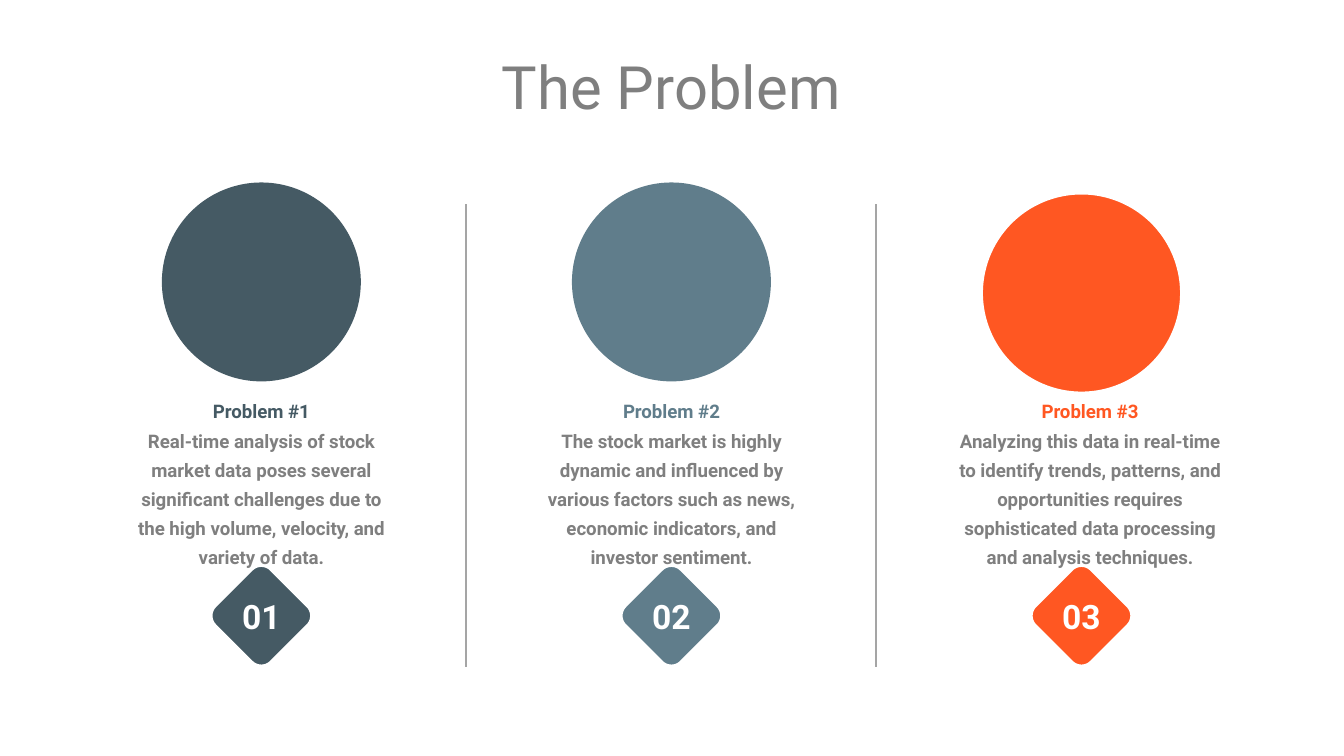
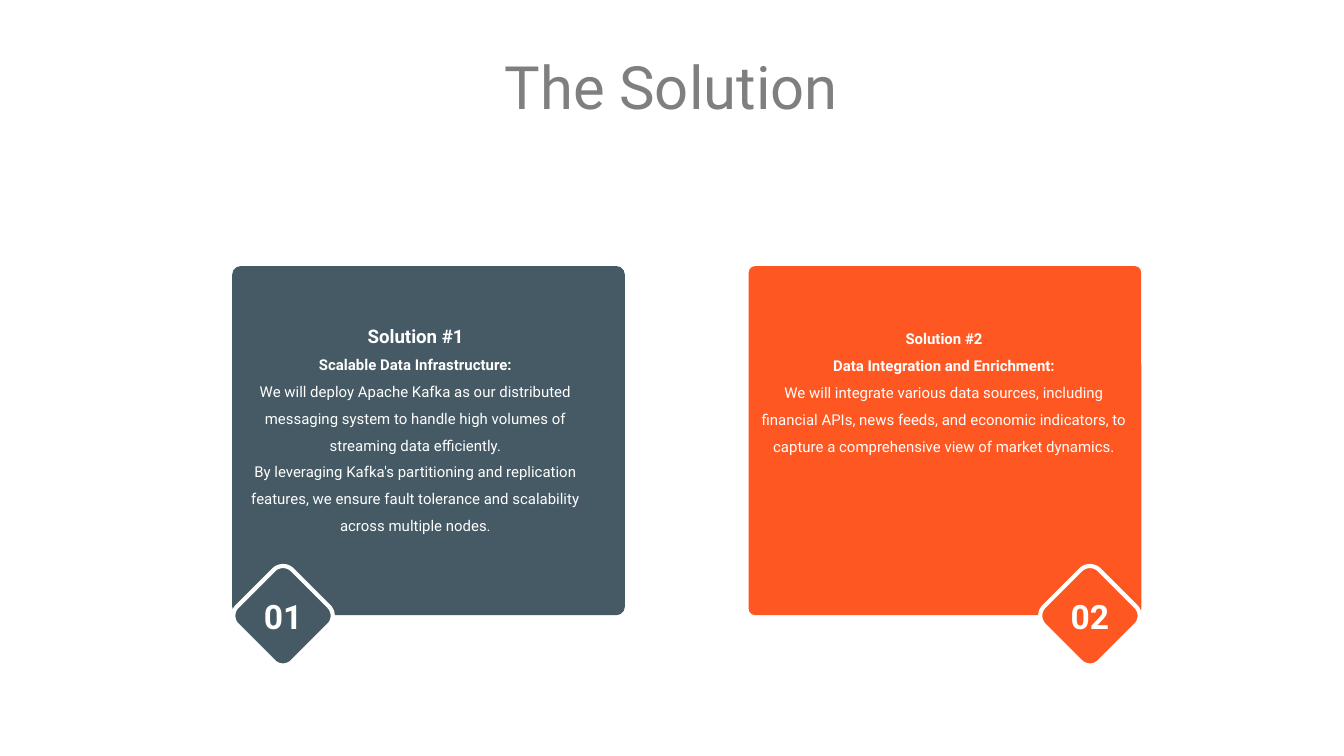
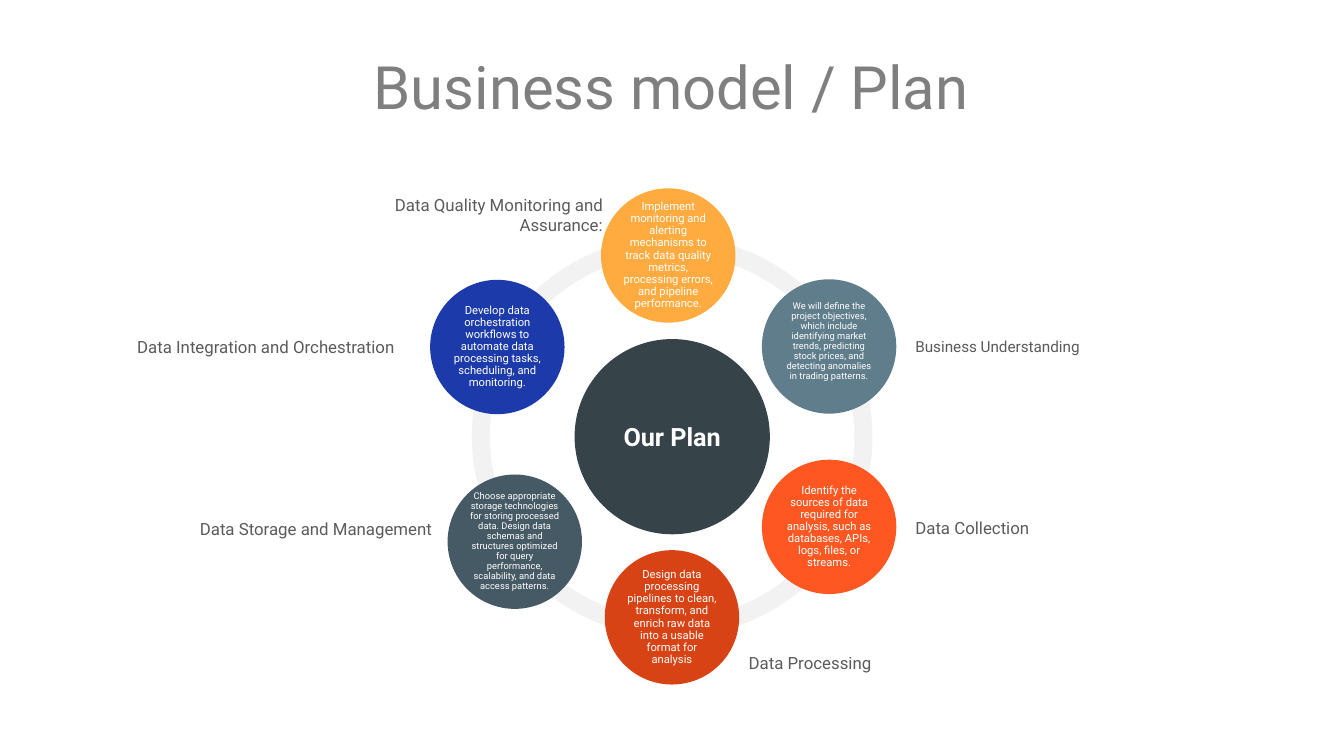
from math import cos, radians, sin

from lxml.etree import SubElement
from pptx import Presentation
from pptx.dml.color import RGBColor
from pptx.enum.shapes import MSO_CONNECTOR, MSO_SHAPE
from pptx.enum.text import MSO_ANCHOR, PP_ALIGN
from pptx.oxml.ns import qn
from pptx.util import Cm, Pt

COLORS = {
    "white": "FFFFFF",
    "title": "7F7F7F",
    "label": "5B5B5B",
    "divider": "A5A5A5",
    "ring": "F2F2F2",
    "hub": "364349",
    "slate": "455A64",
    "steel": "607D8B",
    "orange": "FF5722",
    "rust": "D84315",
    "blue": "1C3AA9",
    "amber": "FFAB40",
}


def rgb(color):
    return RGBColor.from_string(COLORS[color])


class Deck:
    font = "Roboto"
    badge_reach = 0.94
    badge_radius = 0.25
    badge_y = 11.64

    def __init__(self):
        self.presentation = Presentation()
        self.presentation.slide_width = Cm(25.4)
        self.presentation.slide_height = Cm(14.29)
        self.slide = None

    def new_slide(self, title):
        blank = self.presentation.slide_layouts[6]
        self.slide = self.presentation.slides.add_slide(blank)
        self.text(1.07, 0.94, 23.24, 1.37, [title], 32, "title",
                  anchor=MSO_ANCHOR.MIDDLE)

    def fill_text(self, frame, lines, size, color, bold=False,
                  align=PP_ALIGN.CENTER, anchor=MSO_ANCHOR.TOP, spacing=None,
                  inset=0, extra_bottom=0):
        frame.word_wrap = True
        frame.vertical_anchor = anchor
        frame.margin_left = frame.margin_right = frame.margin_top = Cm(inset)
        frame.margin_bottom = Cm(inset + extra_bottom)
        frame.text = lines[0]
        for line in lines[1:]:
            frame.add_paragraph().text = line
        for paragraph in frame.paragraphs:
            paragraph.alignment = align
            if spacing:
                paragraph.line_spacing = spacing
            for run in paragraph.runs:
                run.font.name = self.font
                run.font.size = Pt(size)
                run.font.bold = bold
                run.font.color.rgb = rgb(color)

    def text(self, left, top, width, height, lines, size, color, **style):
        box = self.slide.shapes.add_textbox(
            Cm(left), Cm(top), Cm(width), Cm(height))
        self.fill_text(box.text_frame, lines, size, color, **style)
        return box.text_frame.paragraphs

    def paint(self, shape, fill, outline=None):
        shape.shadow.inherit = False
        shape.fill.solid()
        shape.fill.fore_color.rgb = rgb(fill)
        if outline:
            shape.line.color.rgb = rgb("white")
            shape.line.width = Pt(outline)
        else:
            shape.line.fill.background()
        return shape

    def shape(self, kind, left, top, width, height, fill, outline=None,
              adjustments=()):
        shape = self.slide.shapes.add_shape(
            kind, Cm(left), Cm(top), Cm(width), Cm(height))
        for index, value in enumerate(adjustments):
            shape.adjustments[index] = value
        return self.paint(shape, fill, outline)

    def circle(self, left, top, diameter, fill, outline=None):
        return self.shape(MSO_SHAPE.OVAL, left, top, diameter, diameter,
                          fill, outline)

    def divider(self, x, top, bottom):
        line = self.slide.shapes.add_connector(
            MSO_CONNECTOR.STRAIGHT, Cm(x), Cm(top), Cm(x), Cm(bottom))
        line.line.color.rgb = rgb("divider")
        line.line.width = Pt(1)
        SubElement(line.element.spPr, qn("a:effectLst"))

    def badge(self, center_x, number, fill, outline):
        arm = self.badge_reach - self.badge_radius
        points = []
        for corner in range(0, 360, 90):
            for angle in range(corner - 45, corner + 46, 9):
                x = arm * cos(radians(corner)) + self.badge_radius * cos(radians(angle))
                y = arm * sin(radians(corner)) + self.badge_radius * sin(radians(angle))
                points.append((Cm(center_x + x), Cm(self.badge_y + y)))
        builder = self.slide.shapes.build_freeform(*points[0])
        builder.add_line_segments(points[1:], close=True)
        diamond = self.paint(builder.convert_to_shape(), fill, outline)
        self.fill_text(diamond.text_frame, [f"{number:02d}"], 18, "white",
                       bold=True, anchor=MSO_ANCHOR.MIDDLE, inset=0.2)


def add_problems(deck):
    deck.new_slide("The Problem")
    pitch, first_center, diameter = 7.75, 4.94, 3.76
    problems = [
        ("slate", 3.45, None, 0, 4.78,
         "Real-time analysis of stock market data poses several significant "
         "challenges due to the high volume, velocity, and variety of data."),
        ("steel", 3.45, None, 0, 4.78,
         "The stock market is highly dynamic and influenced by various factors "
         "such as news, economic indicators, and investor sentiment."),
        ("orange", 3.66, 1, 0.16, 5.13,
         "Analyzing this data in real-time to identify trends, patterns, and "
         "opportunities requires sophisticated data processing and analysis "
         "techniques."),
    ]
    for index in range(len(problems) - 1):
        deck.divider(8.81 + index * pitch, 3.86, 12.6)
    for index, (color, top, outline, shift, width, detail) in enumerate(problems):
        center = first_center + index * pitch
        deck.circle(center - diameter / 2, top, diameter, color, outline)
        paragraphs = deck.text(
            center + shift - width / 2, 7.44, width, 3,
            [f"Problem #{index + 1}\v{detail}"], 10, "title",
            bold=True, spacing=1.3)
        paragraphs[0].runs[0].font.color.rgb = rgb(color)
        deck.badge(center, index + 1, color, 1)


def add_solutions(deck):
    deck.new_slide("The Solution")
    solutions = [
        ("slate", 4.39, 0.024, 4.39, 5.92, 10, 5.35,
         ["Solution #1\vScalable Data Infrastructure:",
          "We will deploy Apache Kafka as our distributed messaging system to "
          "handle high volumes of streaming data efficiently.",
          "By leveraging Kafka's partitioning and replication features, we "
          "ensure fault tolerance and scalability across multiple nodes."]),
        ("orange", 14.15, 0.019, 14.38, 6.07, 8, 20.6,
         ["Solution #2\vData Integration and Enrichment:",
          "We will integrate various data sources, including financial APIs, "
          "news feeds, and economic indicators, to capture a comprehensive "
          "view of market dynamics."]),
    ]
    for number, solution in enumerate(solutions, 1):
        color, left, rounding, text_left, text_top, heading_size, badge_x, lines = solution
        deck.shape(MSO_SHAPE.ROUNDED_RECTANGLE, left, 5.03, 7.42, 6.6, color,
                   adjustments=[rounding])
        heading = deck.text(text_left, text_top, 6.93, 3.58, lines, 8, "white",
                            spacing=1.5)[0]
        for run in heading.runs:
            run.font.bold = True
        heading.runs[0].font.size = Pt(heading_size)
        deck.badge(badge_x, number, color, 2.25)


def add_plan(deck):
    deck.new_slide("Business model / Plan")
    hub = deck.circle(10.86, 6.41, 3.69, "hub")
    deck.fill_text(hub.text_frame, ["Our Plan"], 13.5, "white", bold=True,
                   anchor=MSO_ANCHOR.MIDDLE)
    ring_angles = [18, 54, 90, 126, 162, 198, 378]
    for start, end in zip(ring_angles, ring_angles[1:]):
        deck.shape(MSO_SHAPE.BLOCK_ARC, 8.92, 4.47, 7.57, 7.57, "ring",
                   adjustments=[start * 0.6, end % 360 * 0.6, 0.045])

    left, right = PP_ALIGN.LEFT, PP_ALIGN.RIGHT
    steps = [
        ("Data Storage and Management", 3.3, 9.75, 9, right,
         "slate", 8.46, 8.97, 5, 0,
         "Choose appropriate storage technologies for storing processed data. "
         "Design data schemas and structures optimized for query performance, "
         "scalability, and data access patterns."),
        ("Business Understanding", 17.3, 6.3, 8.2, left,
         "steel", 14.4, 5.28, 5, 0.2,
         "We will define the project objectives, which include identifying "
         "market trends, predicting stock prices, and detecting anomalies in "
         "trading patterns."),
        ("Data Collection", 17.3, 9.73, 9, left,
         "orange", 14.4, 8.69, 6, 0,
         "Identify the sources of data required for analysis, such as "
         "databases, APIs, logs, files, or streams."),
        ("Data Processing", 14.15, 12.28, 9, left,
         "rust", 11.43, 10.4, 6, 0,
         "Design data processing pipelines to clean, transform, and enrich raw "
         "data into a usable format for analysis"),
        ("Data Integration and Orchestration", 2.59, 6.32, 9, right,
         "blue", 8.13, 5.29, 6, 0,
         "Develop data orchestration workflows to automate data processing "
         "tasks, scheduling, and monitoring."),
        ("Data Quality Monitoring and Assurance:", 6.53, 3.82, 9, right,
         "amber", 11.36, 3.56, 6, 0,
         "Implement monitoring and alerting mechanisms to track data quality "
         "metrics, processing errors, and pipeline performance."),
    ]
    for (name, name_left, name_top, name_size, align,
         color, step_left, step_top, detail_size, lift, detail) in steps:
        deck.text(name_left, name_top, 4.86, 0.48, [name], name_size, "label",
                  align=align, anchor=MSO_ANCHOR.MIDDLE)
        step = deck.circle(step_left, step_top, 2.54, color)
        deck.fill_text(step.text_frame, [detail], detail_size, "white",
                       anchor=MSO_ANCHOR.MIDDLE, spacing=0.9, inset=0.03,
                       extra_bottom=lift)


def main():
    deck = Deck()
    add_problems(deck)
    add_solutions(deck)
    add_plan(deck)
    deck.presentation.save("out.pptx")


if __name__ == "__main__":
    main()
